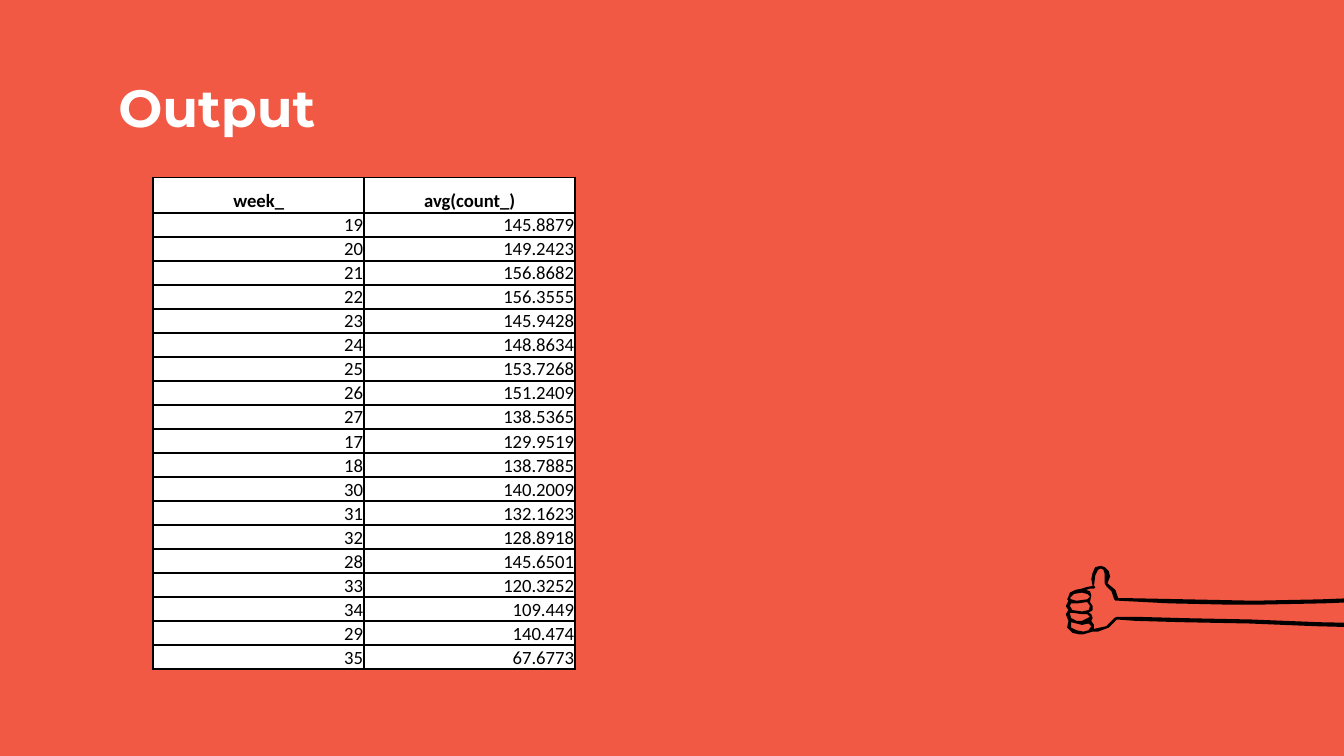
"""Build the Output slide: weekly averages in a table beside a thumbs-up arm."""
from lxml.etree import SubElement
from pptx import Presentation
from pptx.dml.color import RGBColor
from pptx.enum.text import MSO_ANCHOR as Anchor, MSO_AUTO_SIZE as AutoSize, PP_ALIGN as Align
from pptx.oxml.ns import qn
from pptx.util import Inches, Pt


def paint(fill, colour):
    fill.solid()
    fill.fore_color.rgb = RGBColor.from_string(colour)


def write(frame, text, size=10, font="Calibri", colour="000000", bold=False,
          align=Align.LEFT, spacing=1.0):
    line = frame.paragraphs[0]
    line.alignment, line.line_spacing = align, spacing
    run = line.add_run()
    run.text = text
    run.font.size, run.font.name, run.font.bold = Pt(size), font, bold
    paint(run.font.fill, colour)


deck = Presentation()
deck.slide_width = Inches(10)
deck.slide_height = deck.slide_width * 9 // 16
unit = deck.slide_width // 1000
slide = deck.slides.add_slide(deck.slide_layouts[5])
paint(slide.background.fill, "F25945")

heading = slide.shapes.title
heading.left, heading.top, heading.width, heading.height = (n * unit for n in (78, 46, 844, 63))
heading_frame = heading.text_frame
heading_frame.auto_size, heading_frame.vertical_anchor = AutoSize.NONE, Anchor.TOP
heading_frame.margin_left = heading_frame.margin_right = 10 * unit
heading_frame.margin_top = heading_frame.margin_bottom = 10 * unit
write(heading_frame, "Output", size=28, font="Montserrat", colour="FFFFFF", bold=True)

arm_outline = [
    (819, 421), (815, 422), (813, 426), (812, 431), (813, 436), (808, 437), (805, 438),
    (800, 439), (796, 441), (795, 444), (794, 446), (795, 447), (793, 451), (795, 454),
    (793, 457), (795, 462), (794, 467), (798, 471), (803, 472), (806, 472), (813, 470),
    (817, 470), (825, 467), (831, 461), (845, 462), (879, 463), (930, 464), (979, 466),
    (1019, 467), (1030, 467), (1031, 466), (1030, 464), (981, 463), (931, 461), (882, 460),
    (845, 459), (831, 459), (829, 460), (823, 466), (814, 468), (814, 465), (812, 462),
    (813, 460), (812, 457), (810, 456), (813, 454), (813, 451), (811, 448), (812, 443),
    (811, 440), (808, 439), (811, 438), (814, 438), (815, 437), (814, 436), (815, 428),
    (817, 424), (819, 423), (821, 424), (822, 427), (822, 434), (823, 436), (827, 440),
    (829, 446), (830, 447), (832, 447), (870, 449), (917, 450), (933, 450), (985, 449),
    (1034, 447), (1035, 446), (1034, 444), (983, 446), (933, 447), (883, 446), (834, 445),
    (832, 445), (830, 439), (824, 434), (826, 429), (825, 425), (822, 422)]
finger_gaps = [
    [(805, 441), (809, 442), (811, 444), (809, 446), (801, 447), (797, 446), (796, 445), (799, 442)],
    [(809, 448), (811, 451), (810, 454), (805, 455), (798, 454), (796, 451), (797, 449), (802, 449)],
    [(796, 456), (798, 456), (805, 457), (809, 457), (811, 459), (805, 462), (801, 462), (797, 460)],
    [(797, 463), (805, 465), (810, 464), (812, 466), (810, 469), (806, 470), (801, 469), (797, 467)]]
arm_path = slide.shapes.build_freeform(*arm_outline[0], scale=unit)
arm_path.add_line_segments(arm_outline[1:])
for gap in finger_gaps:
    arm_path.move_to(*gap[0])
    arm_path.add_line_segments(gap[1:])
arm = arm_path.convert_to_shape()
arm.shadow.inherit = False
paint(arm.fill, "000000")
arm.line.fill.background()

averages = [
    ("week_", "avg(count_)"), ("19", "145.8879"), ("20", "149.2423"), ("21", "156.8682"),
    ("22", "156.3555"), ("23", "145.9428"), ("24", "148.8634"), ("25", "153.7268"),
    ("26", "151.2409"), ("27", "138.5365"), ("17", "129.9519"), ("18", "138.7885"),
    ("30", "140.2009"), ("31", "132.1623"), ("32", "128.8918"), ("28", "145.6501"),
    ("33", "120.3252"), ("34", "109.449"), ("29", "140.474"), ("35", "67.6773")]
header_height, week_height = 20 * unit, int(17.9 * unit)
weeks = slide.shapes.add_table(
    len(averages), 2, 114 * unit, 132 * unit, 314 * unit,
    header_height + week_height * (len(averages) - 1)).table
for r, pair in enumerate(averages):
    is_header = r == 0
    weeks.rows[r].height = header_height if is_header else week_height
    for c, value in enumerate(pair):
        cell = weeks.cell(r, c)
        cell.margin_left = cell.margin_right = cell.margin_top = unit
        cell.margin_bottom = 0
        cell.vertical_anchor = Anchor.BOTTOM
        write(cell.text_frame, value, bold=is_header,
              align=Align.CENTER if is_header else Align.RIGHT,
              spacing=1.5 if is_header and c == 1 else 1.0)
        for side in ("a:lnL", "a:lnR", "a:lnT", "a:lnB"):
            border = SubElement(cell._tc.get_or_add_tcPr(), qn(side), w=str(Pt(1)))
            SubElement(SubElement(border, qn("a:solidFill")), qn("a:srgbClr"), val="000000")
        paint(cell.fill, "FFFFFF")

deck.save("out.pptx")
